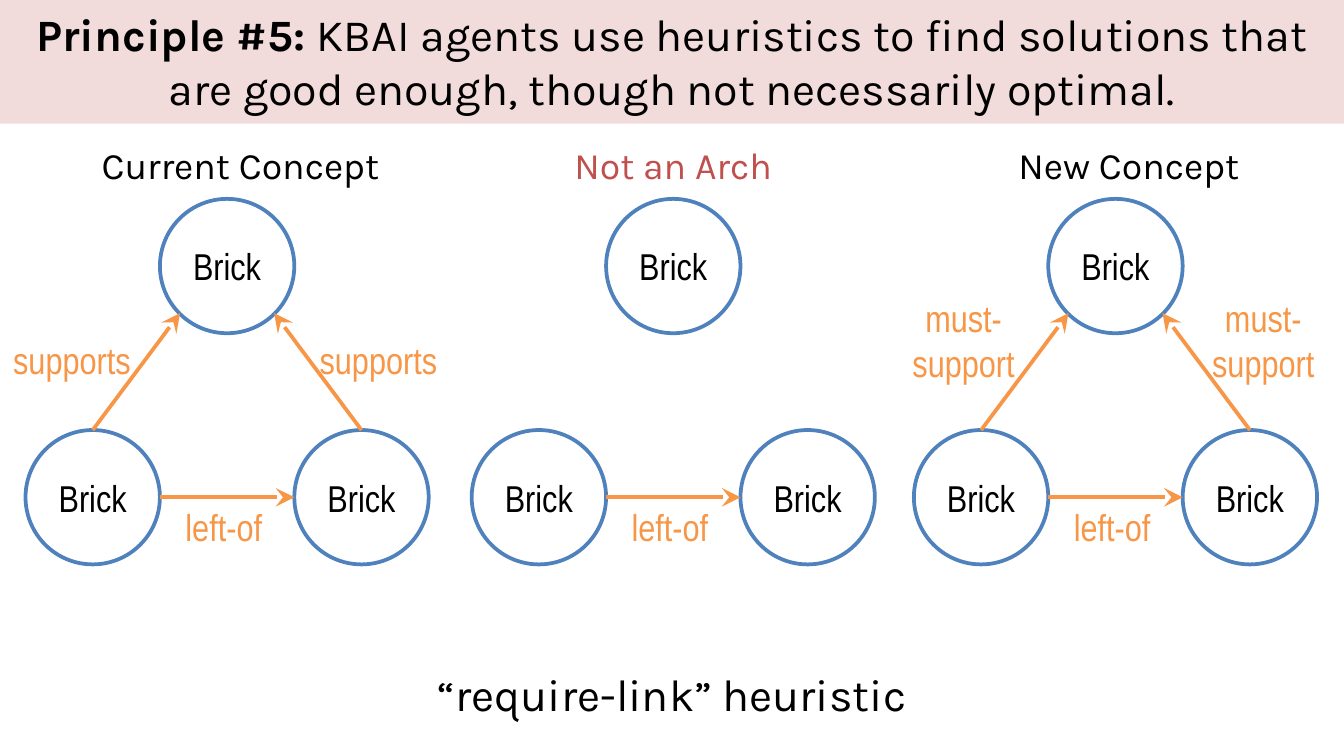
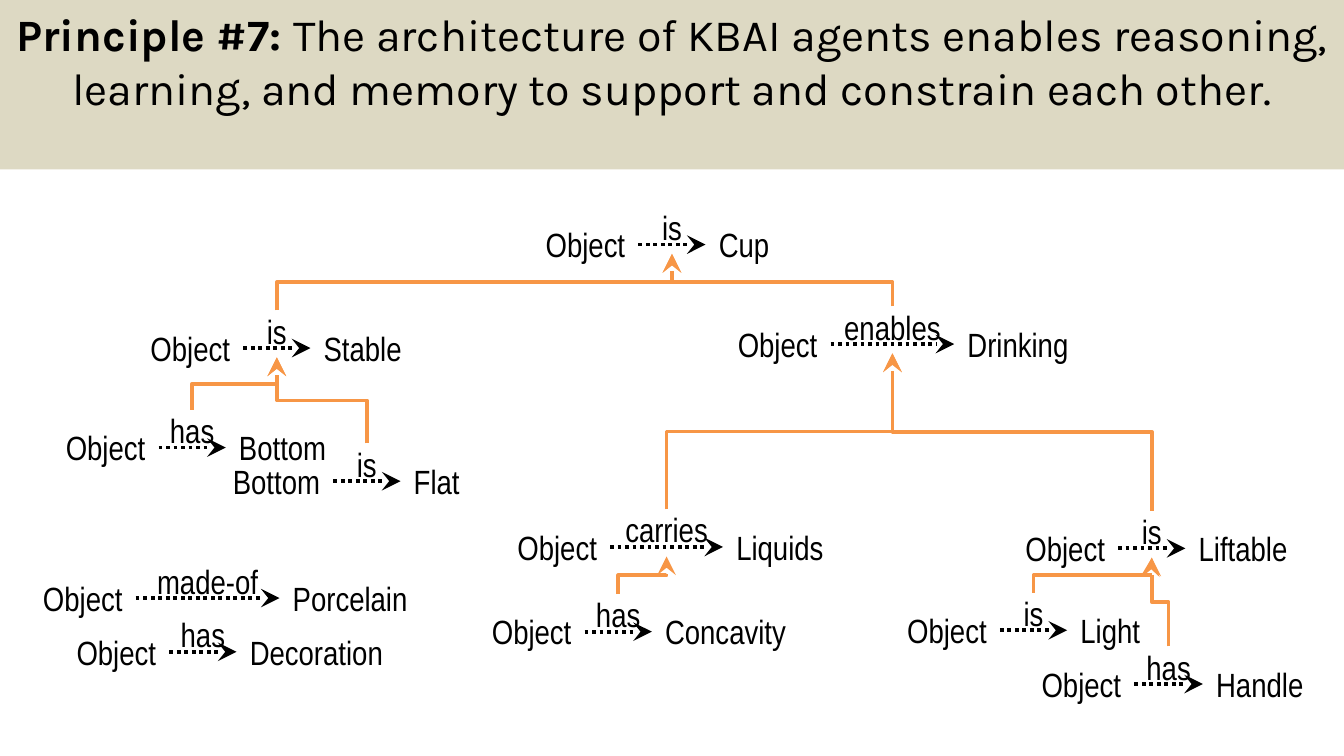
from dataclasses import dataclass

from pptx import Presentation
from pptx.dml.color import RGBColor
from pptx.enum.dml import MSO_LINE
from pptx.enum.shapes import MSO_CONNECTOR as LINK, MSO_SHAPE as SHAPE
from pptx.enum.text import MSO_ANCHOR as ANCHOR, MSO_AUTO_SIZE as FIT, PP_ALIGN as ALIGN
from pptx.oxml.ns import qn
from pptx.util import Pt
from lxml.etree import SubElement

PX = 9144  # EMU; 100 px to the inch
WIDTH = 1000
HEIGHT = WIDTH * 9 / 16


@dataclass(frozen=True)
class Theme:
    ink: str = "000000"
    paper: str = "FFFFFF"
    node: str = "4F81BD"
    link: str = "F79646"
    warning: str = "C0504D"
    rose: str = "F2DCDB"
    sand: str = "DDD9C3"
    display: str = "Karla"
    diagram: str = "Arial Narrow"
    title_size: int = 24
    node_size: int = 20
    relation_size: int = 18
    stroke: int = 2


THEME = Theme()

HEURISTICS = ("Principle #5: ", "KBAI agents use heuristics to find solutions that "
              "are good enough, though not necessarily optimal.")
ARCHITECTURE = ("Principle #7: ", "The architecture of KBAI agents enables reasoning, "
                "learning, and memory to support and constrain each other.")
HEURISTIC_NAME = "“require-link” heuristic"

# heading, heading colour, heading width, left, support label, label box (offsets, top, height)
CONCEPTS = [
    ("Current Concept", THEME.ink, 320, 19, "supports", (-19, 209), 246, 44),
    ("Not an Arch", THEME.warning, 300, 351, None, (), 0, 0),
    ("New Concept", THEME.ink, 320, 680, "must-\vsupport", (-18, 205), 215, 71),
]

# subject, verb, object, arrow left, arrow y, arrow length, object width,
# object of the relation it supports, bend of that link in percent
RELATIONS = [
    ("Object", "is", "Cup", 475, 182, 50, 67, None, 0),
    ("Object", "is", "Stable", 181, 259, 50, 113, "Cup", 50),
    ("Object", "enables", "Drinking", 618, 256, 92, 126, "Cup", 46),
    ("Object", "has", "Bottom", 118, 333, 50, 113, "Stable", 50),
    ("Bottom", "is", "Flat", 248, 358, 50, 71, "Stable", 50),
    ("Object", "carries", "Liquids", 454, 407, 84, 105, "Drinking", 50),
    ("Object", "is", "Liftable", 832, 408, 50, 109, "Drinking", 50),
    ("Object", "has", "Concavity", 435, 470, 50, 143, "Liquids", 50),
    ("Object", "is", "Light", 744, 469, 50, 109, "Liftable", 50),
    ("Object", "has", "Handle", 844, 509, 51, 105, "Liftable", 50),
    ("Object", "made-of", "Porcelain", 101, 445, 107, 126, None, 0),
    ("Object", "has", "Decoration", 126, 485, 50, 149, None, 0),
]


def emu(*lengths):
    return [round(length * PX) for length in lengths]


def rgb(color):
    return RGBColor.from_string(color)


def format_text(frame, font, size, color, align):
    for paragraph in frame.paragraphs:
        paragraph.alignment = align
        for run in paragraph.runs:
            run.font.name = font
            run.font.size = Pt(size)
            run.font.color.rgb = rgb(color)


def clear_margins(frame):
    frame.margin_left = frame.margin_right = frame.margin_top = frame.margin_bottom = 0


def add_label(shapes, text, box, size, color=THEME.ink, font=THEME.diagram,
              align=ALIGN.CENTER, wrap=True):
    frame = shapes.add_textbox(*emu(*box)).text_frame
    frame.word_wrap = wrap
    frame.text = text
    format_text(frame, font, size, color, align)
    return frame


def add_arrow(shapes, start, end, color=THEME.link, kind=LINK.STRAIGHT, dash=None):
    arrow = shapes.add_connector(kind, *emu(*start, *end))
    arrow.line.color.rgb = rgb(color)
    arrow.line.width = Pt(THEME.stroke)
    if dash:
        arrow.line.dash_style = dash
    properties = arrow.element.spPr
    SubElement(properties.get_or_add_ln(), qn("a:tailEnd"), type="stealth", w="lg", len="lg")
    SubElement(properties, qn("a:effectLst"))
    return arrow


def add_rising_elbow(shapes, start, end, bend):
    """Go up, across and up again: a horizontal elbow turned by 270 degrees."""
    (x1, y1), (x2, y2) = start, end
    middle_x, middle_y = (x1 + x2) / 2, (y1 + y2) / 2
    rise, shift = (y1 - y2) / 2, (x1 - x2) / 2
    elbow = add_arrow(shapes, (middle_x - rise, middle_y + shift),
                      (middle_x + rise, middle_y - shift), kind=LINK.ELBOW)
    properties = elbow.element.spPr
    properties.find(qn("a:xfrm")).set("rot", str(270 * 60000))
    adjustments = properties.find(qn("a:prstGeom")).find(qn("a:avLst"))
    SubElement(adjustments, qn("a:gd"), name="adj1", fmla=f"val {bend * 1000}")


def add_principle_slide(deck, principle, band_color, band_height):
    slide = deck.slides.add_slide(deck.slide_layouts.get_by_name("Title Only"))
    title = slide.shapes.title
    title.left, title.top, title.width, title.height = emu(0, 0, WIDTH, band_height)
    title.fill.solid()
    title.fill.fore_color.rgb = rgb(band_color)
    frame = title.text_frame
    frame.auto_size = FIT.NONE
    frame.word_wrap = True
    frame.vertical_anchor = ANCHOR.TOP
    for text, bold in zip(principle, (True, False)):
        run = frame.paragraphs[0].add_run()
        run.text = text
        run.font.bold = bold
    format_text(frame, THEME.display, THEME.title_size, THEME.ink, ALIGN.CENTER)
    return slide


def add_brick(shapes, left, top, size):
    brick = shapes.add_shape(SHAPE.OVAL, *emu(left, top, size, size))
    brick.shadow.inherit = False
    brick.fill.solid()
    brick.fill.fore_color.rgb = rgb(THEME.paper)
    brick.line.color.rgb = rgb(THEME.node)
    brick.line.width = Pt(THEME.stroke)
    frame = brick.text_frame
    clear_margins(frame)
    frame.vertical_anchor = ANCHOR.MIDDLE
    frame.text = "Brick"
    format_text(frame, THEME.diagram, THEME.node_size, THEME.ink, ALIGN.CENTER)


def add_concept(shapes, heading, color, heading_width, left, support, offsets, top, height):
    size, arch_top, base_top = 100, 148, 320
    middle, base_y = left + 1.5 * size, base_top + size / 2
    add_label(shapes, heading, (left, 101, heading_width, 40), THEME.node_size, color,
              THEME.display)
    add_brick(shapes, left + size, arch_top, size)
    for column in (0, 2):
        add_brick(shapes, left + column * size, base_top, size)

    add_arrow(shapes, (left + size, base_y), (left + 2 * size, base_y))
    add_label(shapes, "left-of", (left + 95, base_y, 105, 40), THEME.node_size,
              THEME.link, wrap=False)

    diagonal = 35  # offset of the arch brick's 45 degree points
    for side, offset in zip((-1, 1), offsets):
        add_arrow(shapes, (middle + side * size, base_top),
                  (middle + side * diagonal, arch_top + size / 2 + diagonal))
        add_label(shapes, support, (left + offset, top, 110, height), THEME.node_size,
                  THEME.link, align=ALIGN.CENTER if "\v" in support else ALIGN.LEFT,
                  wrap=False)


def add_relation(shapes, subject, verb, target, left, y, length, target_width):
    parts = shapes.add_group_shape().shapes
    subject_width, right = min(105, left), left + length
    add_label(parts, subject, (left - subject_width, y - 20, subject_width, 40),
              THEME.relation_size, align=ALIGN.RIGHT)
    add_label(parts, target, (right, y - 20, target_width, 40),
              THEME.relation_size, align=ALIGN.LEFT)
    add_arrow(parts, (left, y), (right, y), THEME.ink, dash=MSO_LINE.ROUND_DOT)
    clear_margins(add_label(parts, verb, (left, y - 28, length, 35), THEME.relation_size))


def main():
    deck = Presentation()
    deck.slide_width, deck.slide_height = emu(WIDTH, HEIGHT)

    shapes = add_principle_slide(deck, HEURISTICS, THEME.rose, 92).shapes
    for concept in CONCEPTS:
        add_concept(shapes, *concept)
    add_label(shapes, HEURISTIC_NAME, (0, 491, WIDTH, 50), THEME.title_size,
              font=THEME.display)

    shapes = add_principle_slide(deck, ARCHITECTURE, THEME.sand, 126).shapes
    verb_centers = {}
    for *relation, supported, bend in RELATIONS:
        add_relation(shapes, *relation)
        _, _, target, left, y, length, _ = relation
        center = left + length / 2
        verb_centers[target] = center, y
        if supported:
            supported_x, supported_y = verb_centers[supported]
            add_rising_elbow(shapes, (center, y - 28), (supported_x, supported_y + 7), bend)

    deck.save("out.pptx")


if __name__ == "__main__":
    main()
